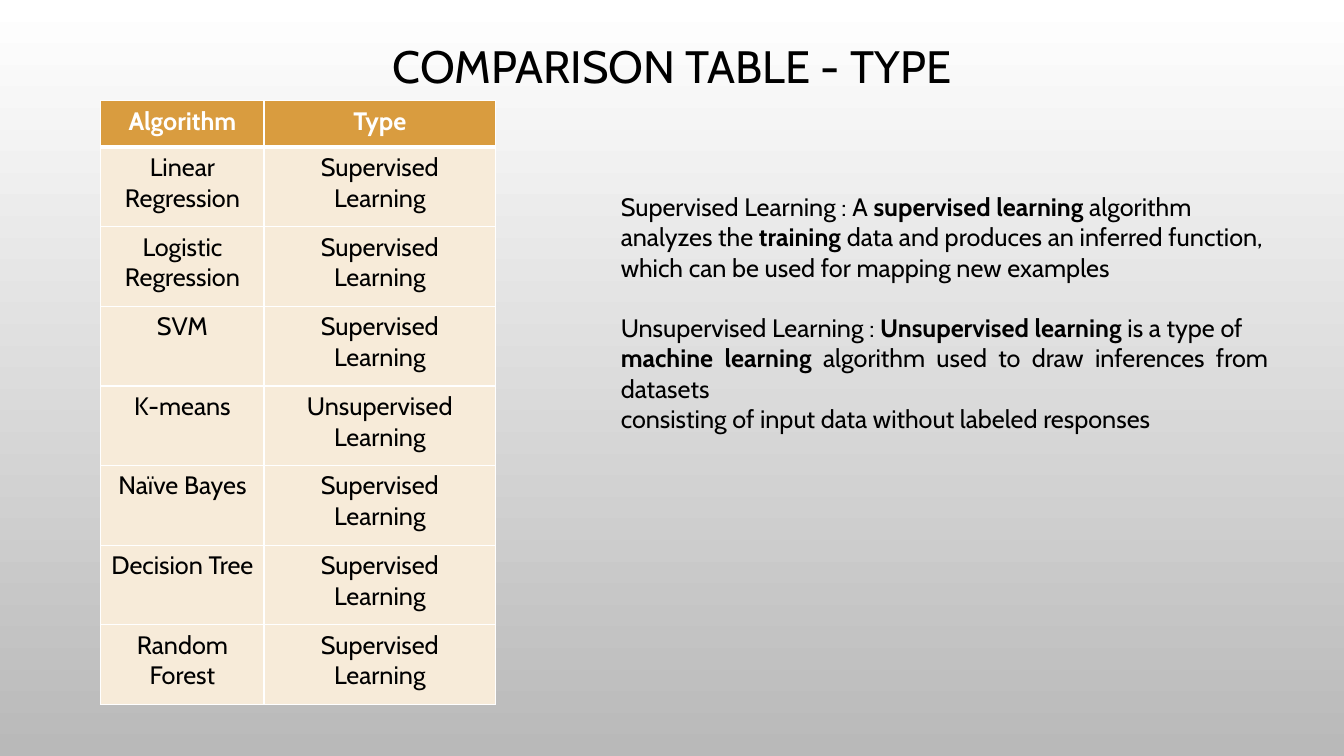
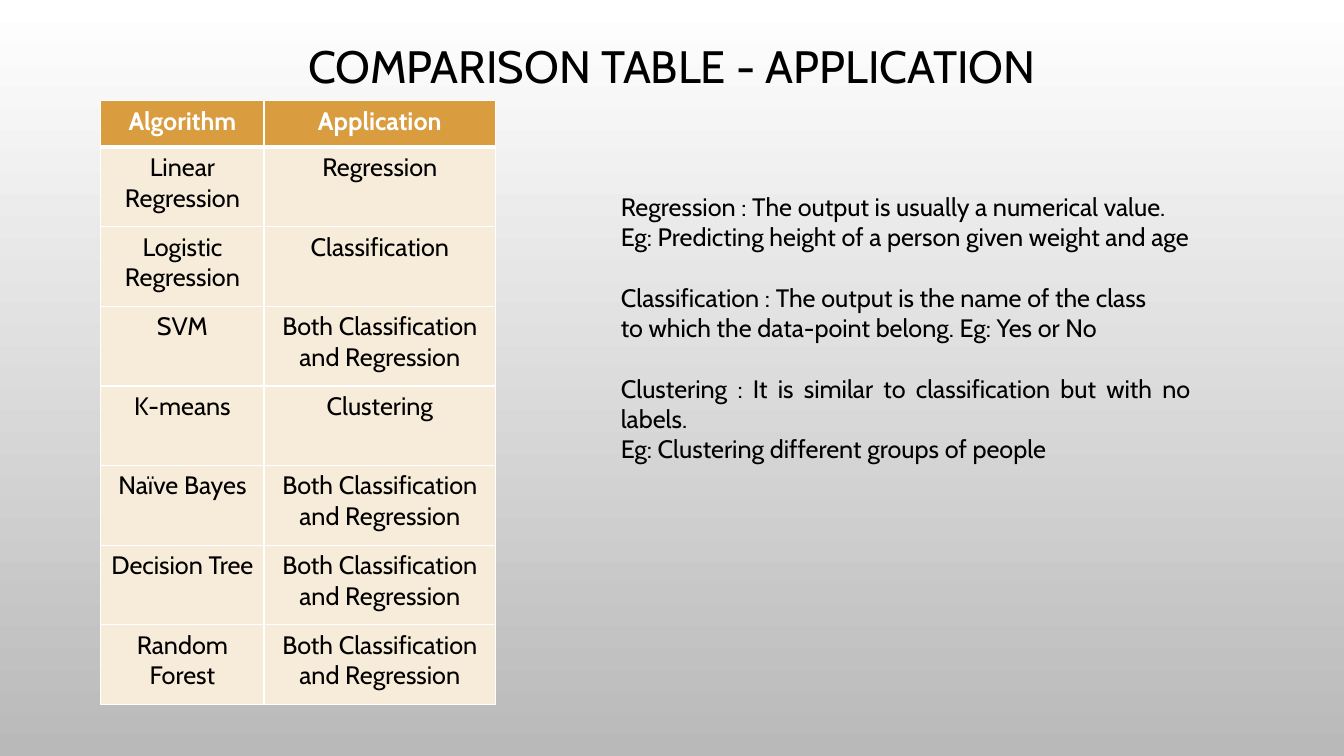
"""Build two slides that compare machine learning algorithms by type and application."""
from dataclasses import dataclass

from lxml import etree
from pptx import Presentation
from pptx.dml.color import RGBColor
from pptx.enum.text import MSO_ANCHOR, PP_ALIGN
from pptx.oxml.ns import qn
from pptx.slide import Slide, SlideMaster
from pptx.table import _Cell
from pptx.text.text import TextFrame
from pptx.util import Inches, Pt

CENTER, JUSTIFY = PP_ALIGN.CENTER, PP_ALIGN.JUSTIFY
MIDDLE, TOP = MSO_ANCHOR.MIDDLE, MSO_ANCHOR.TOP

BLACK = RGBColor(0x00, 0x00, 0x00)
WHITE = RGBColor(0xFF, 0xFF, 0xFF)
GRAY = RGBColor(0xB9, 0xB9, 0xB9)
ORANGE = RGBColor(0xD9, 0x9C, 0x3F)
CREAM = RGBColor(0xF7, 0xEB, 0xD9)

FONT = "Cabin"
TITLE_SIZE, BODY_SIZE, GROUP_GAP = 32.4, 18, 21.6
THIN_BORDER, HEADER_BORDER = 1, 3
BOLD_MARK = "**"

SLIDE_WIDTH, SLIDE_HEIGHT = Inches(13.33), Inches(7.5)
GRID_COLUMNS, GRID_ROWS = 40, 30
BLANK_LAYOUT = 6

ALGORITHMS = (
    "Linear Regression", "Logistic Regression", "SVM", "K-means",
    "Naïve Bayes", "Decision Tree", "Random Forest",
)
SUPERVISED = "Supervised Learning"
BOTH = "Both Classification and Regression"


@dataclass(frozen=True)
class Area:
    """A rectangle in grid columns and rows."""
    left: float
    top: float
    width: float
    height: float


@dataclass(frozen=True)
class Comparison:
    """One slide: a title, the compared property and groups of explaining lines."""
    title: str
    heading: str
    values: tuple[str, ...]
    definitions: tuple[tuple[str, ...], ...]
    definition_area: Area


TITLE_AREA = Area(3, 1.48, 34, 2.52)
TABLE_LEFT, TABLE_TOP = 3, 4
TABLE_COLUMNS = (4.86, 6.89)
TABLE_ROWS = (1.84,) + (3.16,) * len(ALGORITHMS)
DEFINITION_LEFT, DEFINITION_TOP = 18.18, 7.4

COMPARISONS = (
    Comparison(
        "COMPARISON TABLE - TYPE",
        "Type",
        (SUPERVISED,) * 3 + ("Unsupervised Learning",) + (SUPERVISED,) * 3,
        (
            (
                "Supervised Learning : A **supervised learning** algorithm",
                "analyzes the **training** data and produces an inferred function,",
                "which can be used for mapping new examples",
            ),
            (
                "Unsupervised Learning : **Unsupervised learning** is a type of",
                "**machine learning** algorithm used to draw inferences from datasets",
                "consisting of input data without labeled responses",
            ),
        ),
        Area(DEFINITION_LEFT, DEFINITION_TOP, 19.86, 8.88),
    ),
    Comparison(
        "COMPARISON TABLE - APPLICATION",
        "Application",
        ("Regression", "Classification", BOTH, "Clustering", BOTH, BOTH, BOTH),
        (
            (
                "Regression : The output is usually a numerical value.",
                "Eg: Predicting height of a person given weight and age",
            ),
            (
                "Classification : The output is the name of the class",
                "to which the data-point belong. Eg: Yes or No",
            ),
            (
                "Clustering : It is similar to classification but with no labels.",
                "Eg: Clustering different groups of people",
            ),
        ),
        Area(DEFINITION_LEFT, DEFINITION_TOP, 17.55, 10.08),
    ),
)


def across(columns: float) -> int:
    """Convert grid columns to a length."""
    return round(SLIDE_WIDTH * columns / GRID_COLUMNS)


def down(rows: float) -> int:
    """Convert grid rows to a length."""
    return round(SLIDE_HEIGHT * rows / GRID_ROWS)


def write_text(text_frame: TextFrame, text: str, *, size: float = BODY_SIZE,
               color: RGBColor = BLACK, bold: bool = False,
               alignment: PP_ALIGN = CENTER, line_spacing: float = 1.0,
               space_before: float = 0) -> None:
    """Write one paragraph, with marked stretches in bold."""
    paragraph = text_frame.paragraphs[-1]
    if paragraph.runs:
        paragraph = text_frame.add_paragraph()
    paragraph.alignment = alignment
    paragraph.line_spacing = line_spacing
    paragraph.space_before = Pt(space_before)
    for index, part in enumerate(text.split(BOLD_MARK)):
        if part:
            run = paragraph.add_run()
            run.text = part
            run.font.name = FONT
            run.font.size = Pt(size)
            run.font.bold = bold or index % 2 == 1
            run.font.color.rgb = color


def add_text_area(slide: Slide, area: Area, anchor: MSO_ANCHOR) -> TextFrame:
    """Add a wrapping text box and return its text frame."""
    text_box = slide.shapes.add_textbox(
        across(area.left), down(area.top), across(area.width), down(area.height))
    text_frame = text_box.text_frame
    text_frame.word_wrap = True
    text_frame.vertical_anchor = anchor
    return text_frame


def set_border(cell: _Cell, side: str, width: float) -> None:
    """Draw a white border on one side of a cell."""
    properties = cell._tc.get_or_add_tcPr()
    line = etree.SubElement(properties, qn(f"a:ln{side}"), w=str(Pt(width)))
    fill = etree.SubElement(line, qn("a:solidFill"))
    etree.SubElement(fill, qn("a:srgbClr"), val=str(WHITE))


def format_cell(cell: _Cell, text: str, row_index: int) -> None:
    """Fill, border and label a cell according to its row."""
    is_header = row_index == 0
    widths = {
        "L": THIN_BORDER,
        "R": THIN_BORDER,
        "T": HEADER_BORDER if row_index == 1 else THIN_BORDER,
        "B": HEADER_BORDER if is_header else THIN_BORDER,
    }
    for side, width in widths.items():
        set_border(cell, side, width)
    cell.fill.solid()
    cell.fill.fore_color.rgb = ORANGE if is_header else CREAM
    write_text(cell.text_frame, text, bold=is_header,
               color=WHITE if is_header else BLACK)


def add_comparison_table(slide: Slide, comparison: Comparison) -> None:
    """Add the table that pairs each algorithm with its value."""
    table = slide.shapes.add_table(
        len(TABLE_ROWS), len(TABLE_COLUMNS), across(TABLE_LEFT), down(TABLE_TOP),
        across(sum(TABLE_COLUMNS)), down(sum(TABLE_ROWS))).table
    table.horz_banding = False
    for column, width in zip(table.columns, TABLE_COLUMNS):
        column.width = across(width)
    for row, height in zip(table.rows, TABLE_ROWS):
        row.height = down(height)
    pairs = (("Algorithm", comparison.heading), *zip(ALGORITHMS, comparison.values))
    for row_index, pair in enumerate(pairs):
        for column_index, text in enumerate(pair):
            format_cell(table.cell(row_index, column_index), text, row_index)


def add_definitions(slide: Slide, comparison: Comparison) -> None:
    """Add the explaining lines, with a gap between groups."""
    text_frame = add_text_area(slide, comparison.definition_area, TOP)
    for group_index, group in enumerate(comparison.definitions):
        for line_index, line in enumerate(group):
            starts_group = group_index > 0 and line_index == 0
            write_text(text_frame, line, alignment=JUSTIFY,
                       space_before=GROUP_GAP if starts_group else 0)


def set_background(master: SlideMaster) -> None:
    """Give all slides a gradient that darkens downwards."""
    fill = master.background.fill
    fill.gradient()
    fill.gradient_angle = 270
    for stop, color, position in zip(fill.gradient_stops, (WHITE, GRAY), (0, 1)):
        stop.color.rgb = color
        stop.position = position


def main() -> None:
    """Build and save the presentation."""
    presentation = Presentation()
    presentation.slide_width = SLIDE_WIDTH
    presentation.slide_height = SLIDE_HEIGHT
    set_background(presentation.slide_master)
    for comparison in COMPARISONS:
        slide = presentation.slides.add_slide(presentation.slide_layouts[BLANK_LAYOUT])
        write_text(add_text_area(slide, TITLE_AREA, MIDDLE), comparison.title,
                   size=TITLE_SIZE, line_spacing=0.9)
        add_comparison_table(slide, comparison)
        add_definitions(slide, comparison)
    presentation.save("out.pptx")


if __name__ == "__main__":
    main()
